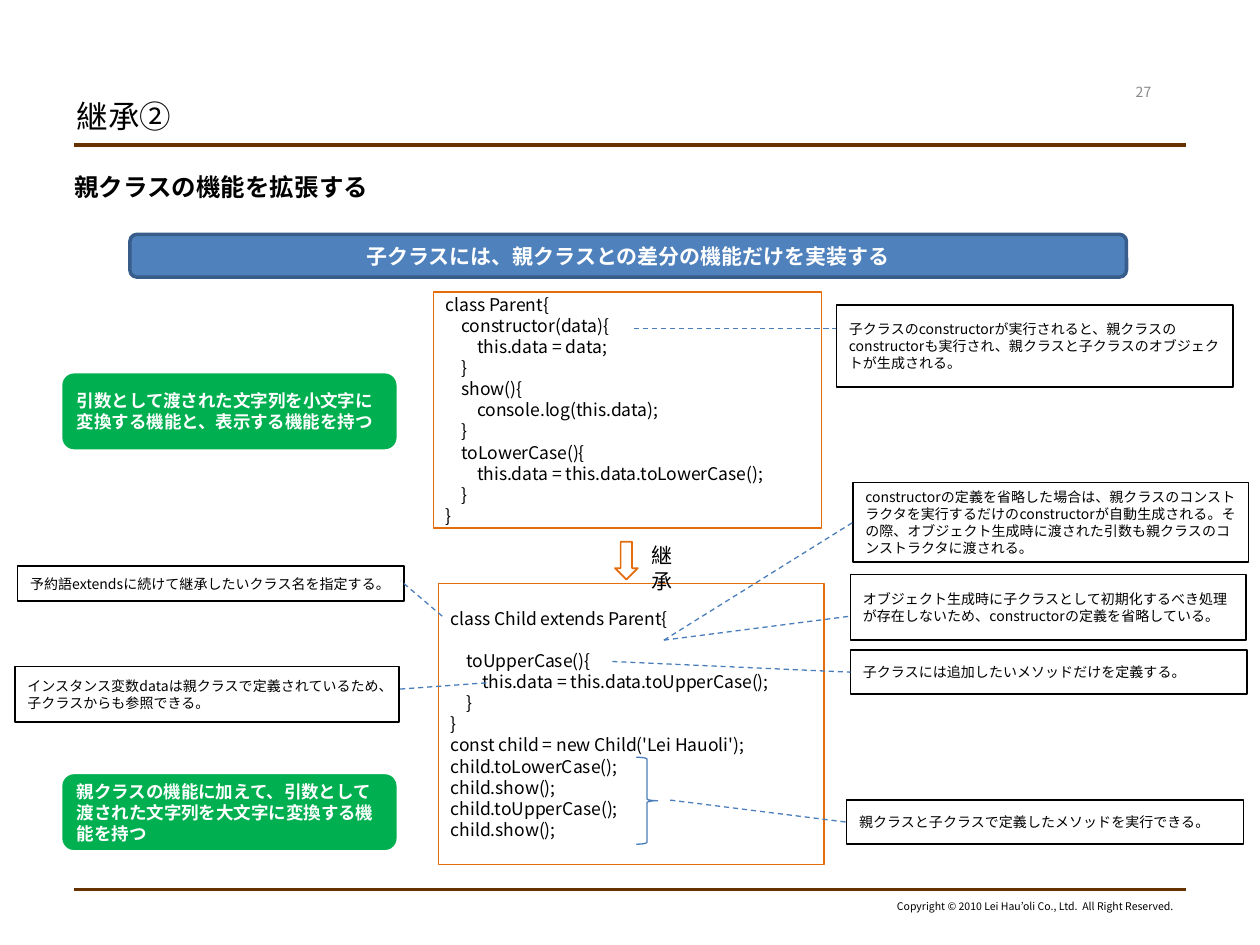
from lxml import etree
from pptx import Presentation
from pptx.dml.color import RGBColor
from pptx.enum.dml import MSO_LINE
from pptx.enum.shapes import MSO_CONNECTOR, MSO_SHAPE as SHAPE
from pptx.enum.text import MSO_ANCHOR as ANCHOR, PP_ALIGN as ALIGN
from pptx.oxml.ns import qn
from pptx.util import Pt

FONT = "Noto Sans CJK JP"
ORANGE, BLUE, BROWN, GREEN = "E46C0A", "4A7EBB", "663300", "00B050"
LEFT_SIDE = 1

PARENT_CODE = """class Parent{
    constructor(data){
        this.data = data;
    }
    show(){
        console.log(this.data);
    }
    toLowerCase(){
        this.data = this.data.toLowerCase();
    }
}"""

CHILD_CODE = """class Child extends Parent{
    
    toUpperCase(){
        this.data = this.data.toUpperCase();
    }
}
const child = new Child('Lei Hauoli');
child.toLowerCase();
child.show();
child.toUpperCase();
child.show();"""

# Callout text, box, connector start, connector end (None: middle of left side)
CALLOUTS = [
    ("予約語extendsに続けて継承したいクラス名を指定する。",
     (10.1, 323.3, 221, 20.2), (252.7, 352.1), (229, 331.9)),
    ("インスタンス変数dataは親クラスで定義されているため、子クラスからも参照できる。",
     (8.6, 380.9, 219.6, 31.7), (277.9, 390.2), (228.2, 393.8)),
    ("子クラスのconstructorが実行されると、親クラスのconstructorも実行され、"
     "親クラスと子クラスのオブジェクトが生成される。",
     (478, 174.2, 226.8, 46.8), (362.2, 187.9), (478, 187.9)),
    ("constructorの定義を省略した場合は、親クラスのコンストラクタを実行するだけの"
     "constructorが自動生成される。その際、オブジェクト生成時に渡された引数も"
     "親クラスのコンストラクタに渡される。",
     (487.4, 275.8, 226.1, 45.4), (379.4, 365.8), None),
    ("オブジェクト生成時に子クラスとして初期化するべき処理が存在しないため、"
     "constructorの定義を省略している。",
     (486, 328.3, 226.1, 37.4), (379.4, 365.8), (486, 352.1)),
    ("子クラスには追加したいメソッドだけを定義する。",
     (486, 371.5, 226.8, 25.2), (349.9, 378), None),
    ("親クラスと子クラスで定義したメソッドを実行できる。",
     (483.8, 457.2, 226.8, 25.2), (383, 457.2), None),
]


def rgb(value):
    return RGBColor.from_string(value)


def place(box):
    return [Pt(v) for v in box]


def write(sp, text, size, color="000000", bold=False, align=ALIGN.LEFT,
          anchor=ANCHOR.MIDDLE, wrap=True, font=FONT):
    tf = sp.text_frame
    tf.text = text
    tf.word_wrap = wrap
    tf.vertical_anchor = anchor
    for p in tf.paragraphs:
        p.alignment = align
        for r in p.runs:
            r.font.size = Pt(size)
            r.font.bold = bold
            r.font.color.rgb = rgb(color)
            r.font.name = font
            # East Asian characters take their font from a:ea
            ea = etree.SubElement(r.font._element, qn("a:ea"))
            ea.set("typeface", font)


def add_label(s, box, text, size, **style):
    write(s.shapes.add_textbox(*place(box)), text, size, **style)


def add_box(s, kind, box, line, width, fill=None):
    sp = s.shapes.add_shape(kind, *place(box))
    sp.shadow.inherit = False
    if fill:
        sp.fill.solid()
        sp.fill.fore_color.rgb = rgb(fill)
    else:
        sp.fill.background()
    sp.line.color.rgb = rgb(line)
    sp.line.width = Pt(width)
    return sp


def add_line(s, start, end, color, width, dash=None):
    line = s.shapes.add_connector(MSO_CONNECTOR.STRAIGHT, *place(start + end))
    line.line.color.rgb = rgb(color)
    line.line.width = Pt(width)
    line.line.dash_style = dash
    etree.SubElement(line._element.spPr, qn("a:effectLst"))
    return line


def add_header(s, box):
    x, y, w, h = box
    title = s.shapes.title
    title.left, title.top, title.width, title.height = place((x - 5.8, y + 10.7, 476.6, 23))
    write(title, "継承②", 18)
    add_label(s, (x + 589.7, y, 42.5, 17.3), "27", 8, color="898989", align=ALIGN.CENTER)
    add_line(s, (x, y + h), (x + w, y + h), BROWN, 2.25)


def add_footer(s, box):
    x, y, w, h = box
    add_line(s, (x, y), (x + w, y), BROWN, 2.25)
    add_label(s, (x + w - 174.2, y + 2.2, 174.2, h),
              "Copyright © 2010 Lei Hau’oli Co., Ltd.  All Right Reserved.",
              6, align=ALIGN.RIGHT, anchor=ANCHOR.TOP, wrap=False)


def add_code(s, box, code):
    write(add_box(s, SHAPE.RECTANGLE, box, ORANGE, 1), code, 10)


def add_inheritance(s, box):
    x, y, w, h = box
    add_box(s, SHAPE.DOWN_ARROW, (x, y + 2.9, 13, 21.6), ORANGE, 1)
    add_label(s, (x + 13.7, y, w - 13.7, h), "継承", 12,
              anchor=ANCHOR.TOP, wrap=False, font="Courier New")


def add_banner(s, box, text, size, fill, line, align=ALIGN.LEFT):
    sp = add_box(s, SHAPE.ROUNDED_RECTANGLE, box, line, 2, fill)
    write(sp, text, size, color="FFFFFF", bold=True, align=align)


def add_callout(s, text, box, start, end):
    sp = add_box(s, SHAPE.RECTANGLE, box, "000000", 1, "FFFFFF")
    write(sp, text, 8)
    line = add_line(s, start, end or box[:2], BLUE, 0.75, MSO_LINE.DASH)
    if end is None:
        line.end_connect(sp, LEFT_SIDE)


def main():
    prs = Presentation()
    prs.slide_width, prs.slide_height = Pt(720), Pt(540)
    s = prs.slides.add_slide(prs.slide_layouts[5])

    # Header, subtitle and footer
    add_header(s, (42.5, 43.9, 635, 38.9))
    add_label(s, (35.3, 95, 648, 402.5), "親クラスの機能を拡張する", 14,
              bold=True, anchor=ANCHOR.TOP)
    add_footer(s, (42.5, 508.3, 635, 14.4))

    # Parent and child classes
    add_code(s, (247.7, 167, 221.8, 134.6), PARENT_CODE)
    add_code(s, (250.6, 333.4, 220.3, 160.6), CHILD_CODE)
    add_inheritance(s, (351.4, 306.7, 51.8, 21.6))
    add_box(s, SHAPE.RIGHT_BRACE, (363.6, 432.7, 12.2, 49.7), BLUE, 0.75)

    # Explanations
    for callout in CALLOUTS:
        add_callout(s, *callout)

    # Key message and role of each class
    add_banner(s, (74.2, 133.9, 569.5, 24.5),
               "子クラスには、親クラスとの差分の機能だけを実装する",
               12, "4F81BD", "385D8A", ALIGN.CENTER)
    for top, text in [
        (212.4, "引数として渡された文字列を小文字に変換する機能と、表示する機能を持つ"),
        (441.4, "親クラスの機能に加えて、引数として渡された文字列を大文字に変換する機能を持つ"),
    ]:
        add_banner(s, (34.6, top, 193, 45.4), text, 10, GREEN, "FFFFFF")

    prs.save("out.pptx")


if __name__ == "__main__":
    main()
